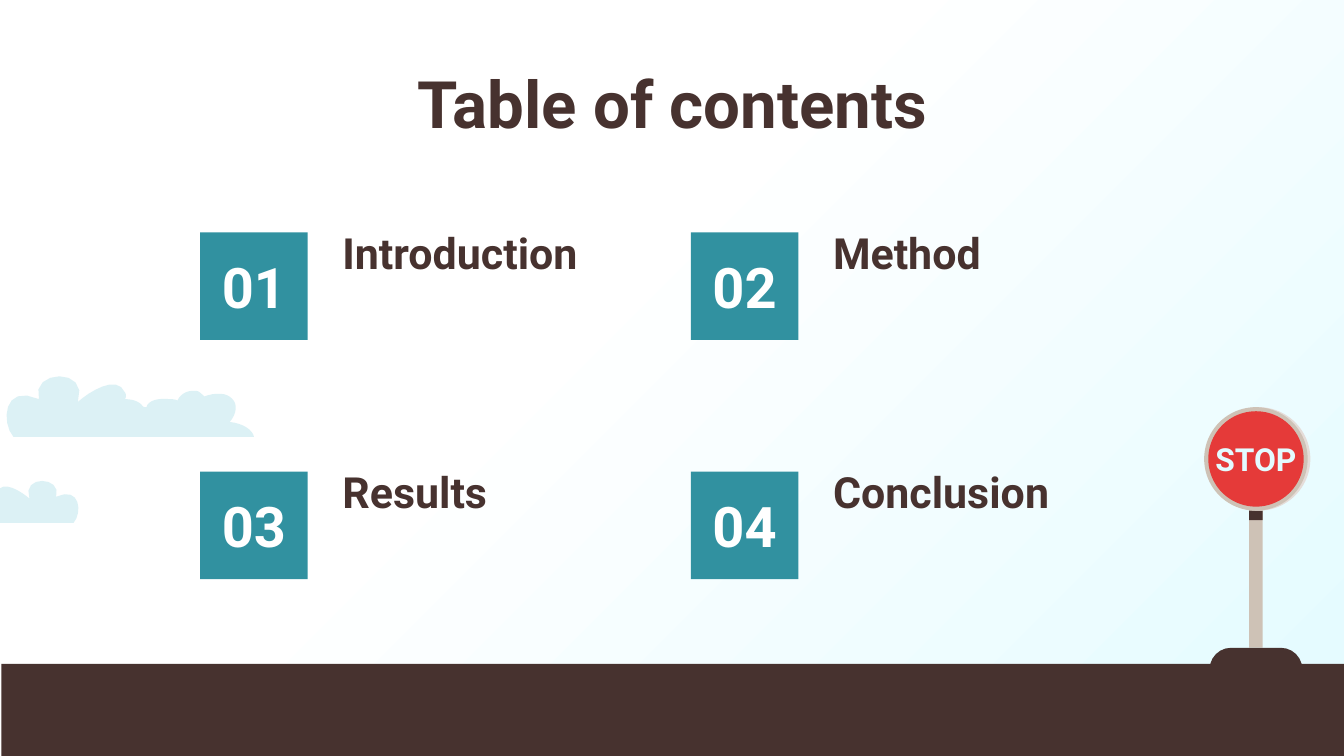
from lxml import etree
from pptx import Presentation
from pptx.dml.color import RGBColor
from pptx.enum import shapes, text
from pptx.oxml import ns
from pptx.util import Inches, Pt

BROWN = RGBColor(0x47, 0x32, 0x2F)
TEAL = RGBColor(0x31, 0x91, 0xA0)
SKY = RGBColor(0x5E, 0xBF, 0xD1)
PALE = RGBColor(0xE3, 0xFB, 0xFF)
WHITE = RGBColor(0xFF, 0xFF, 0xFF)
RED = RGBColor(0xE5, 0x3A, 0x39)
STONE = RGBColor(0xCE, 0xC2, 0xB6)
SHADE = RGBColor(0xE5, 0xDD, 0xD9)

FONT = "Roboto"
MARGIN = 0.1
KIND = shapes.MSO_SHAPE
ALIGN = text.PP_ALIGN
ANCHOR = text.MSO_ANCHOR

# Cloud outline in a 1.88 x 0.52 box: each row is two control points and an end.
CLOUD_SIZE = (1.88, 0.52)
CLOUD_START = (1.88, 0.52)
CLOUD_CURVES = [
    ((1.87, 0.47), (1.80, 0.42), (1.70, 0.41)),
    ((1.75, 0.35), (1.76, 0.28), (1.72, 0.24)),
    ((1.68, 0.19), (1.59, 0.19), (1.51, 0.22)),
    ((1.49, 0.20), (1.48, 0.19), (1.46, 0.18)),
    ((1.40, 0.17), (1.34, 0.19), (1.31, 0.25)),
    ((1.29, 0.24), (1.27, 0.24), (1.25, 0.24)),
    ((1.17, 0.23), (1.09, 0.25), (1.08, 0.30)),
    ((1.07, 0.30), (1.06, 0.30), (1.05, 0.29)),
    ((1.03, 0.26), (0.98, 0.24), (0.92, 0.24)),
    ((0.93, 0.23), (0.93, 0.20), (0.92, 0.19)),
    ((0.86, 0.05), (0.65, 0.19), (0.57, 0.26)),
    ((0.66, 0.00), (0.21, 0.02), (0.28, 0.24)),
    ((0.01, 0.12), (0.00, 0.42), (0.09, 0.52)),
]


def paint(shape, color):
    shape.shadow.inherit = False
    shape.fill.solid()
    shape.fill.fore_color.rgb = color
    shape.line.fill.background()


def add_block(slide, kind, box, color):
    shape = slide.shapes.add_shape(kind, *map(Inches, box))
    paint(shape, color)
    return shape


def write(shape, words, size, color, align=ALIGN.CENTER, anchor=ANCHOR.MIDDLE,
          margin=MARGIN):
    frame = shape.text_frame
    frame.text = words
    look = {"word_wrap": True, "auto_size": text.MSO_AUTO_SIZE.NONE,
            "vertical_anchor": anchor}
    look.update({f"margin_{side}": Inches(margin)
                 for side in ("left", "top", "right", "bottom")})
    for name, value in look.items():
        setattr(frame, name, value)
    line = frame.paragraphs[0]
    line.alignment = align
    for name, value in {"name": FONT, "size": Pt(size), "bold": True}.items():
        setattr(line.runs[0].font, name, value)
    line.runs[0].font.color.rgb = color


def add_sky(slide):
    fill = slide.background.fill
    fill.gradient()
    fill.gradient_angle = 315
    for stop, place, color in zip(fill.gradient_stops, (0.41, 1), (WHITE, PALE)):
        stop.position = place
        stop.color.rgb = color


def curve(start, one, two, end, steps=8):
    """Points along a cubic Bezier curve, without its start."""
    for step in range(1, steps + 1):
        t = step / steps
        s = 1 - t
        yield tuple(s**3 * a + 3 * s * s * t * b + 3 * s * t * t * c + t**3 * d
                    for a, b, c, d in zip(start, one, two, end))


def add_cloud(slide, box, flip=False):
    left, top, width, height = box
    points = [CLOUD_START]
    for row in CLOUD_CURVES:
        points += curve(points[-1], *row)

    def place(point):
        x, y = point[0] / CLOUD_SIZE[0], point[1] / CLOUD_SIZE[1]
        x = 1 - x if flip else x
        return Inches(left + x * width), Inches(top + y * height)

    spots = [place(point) for point in points]
    path = slide.shapes.build_freeform(*spots[0])
    path.add_line_segments(spots[1:], close=True)
    cloud = path.convert_to_shape()
    paint(cloud, SKY)
    tint = cloud.fill._xPr.find(".//" + ns.qn("a:srgbClr"))
    etree.SubElement(tint, ns.qn("a:alpha"), val="21000")


def add_sign(slide, box):
    left, top, width, height = box
    mid = left + width / 2
    post, disc, rim = 0.1, 0.77, 0.03
    base = top + height - 0.16
    add_block(slide, KIND.RECTANGLE,
              (mid - post / 2, top + 0.57, post, base - top - 0.57), STONE)
    add_block(slide, KIND.RECTANGLE, (mid - post / 2, top + disc, post, 0.07), BROWN)
    mound = add_block(slide, KIND.ROUNDED_RECTANGLE, (left, base, width, 0.32), BROWN)
    mound.adjustments[0] = 0.5
    edge = mid - disc / 2
    add_block(slide, KIND.OVAL, (edge + 0.02, top, disc, disc), SHADE)
    add_block(slide, KIND.OVAL, (edge, top, disc, disc), STONE)
    inner = disc - 2 * rim
    add_block(slide, KIND.OVAL, (edge + rim, top + rim, inner, inner), RED)
    label = slide.shapes.add_textbox(
        *map(Inches, (edge, top + 0.2, disc, disc - 0.4)))
    write(label, "STOP", 17, PALE, margin=0)


def add_title(slide, box, words):
    title = slide.shapes.title
    title.left, title.top, title.width, title.height = map(Inches, box)
    write(title, words, 35, BROWN, anchor=ANCHOR.TOP)


def add_entry(slide, box, number, words):
    left, top, width, height = box
    tile = add_block(slide, KIND.RECTANGLE, (left, top, height, height), TEAL)
    write(tile, f"{number:02}", 30, WHITE)
    label_left = height + 0.16
    label = slide.shapes.add_textbox(
        *map(Inches, (left + label_left, top - 0.05, width - label_left, 0.49)))
    write(label, words, 23, BROWN, ALIGN.LEFT, ANCHOR.BOTTOM)


def add_contents(slide, box, entries):
    """Numbered entries in two columns, filled row by row."""
    left, top, width, height = box
    wide, high = 3.36, 0.8
    for index, words in enumerate(entries):
        row, col = divmod(index, 2)
        spot = (left + col * (width - wide), top + row * (height - high), wide, high)
        add_entry(slide, spot, index + 1, words)


def main():
    deck = Presentation()
    deck.slide_width = Inches(10)
    deck.slide_height = deck.slide_width * 9 // 16
    slide = deck.slides.add_slide(deck.slide_layouts[5])
    add_sky(slide)
    add_cloud(slide, (-0.68, 3.53, 1.29, 0.36), flip=True)
    add_block(slide, KIND.RECTANGLE, (0.01, 4.94, 10, 0.69), BROWN)
    add_sign(slide, (9, 3.03, 0.69, 1.95))
    add_title(slide, (0.79, 0.37, 8.43, 0.75), "Table of contents")
    add_contents(slide, (1.49, 1.73, 7.01, 2.58),
                 ["Introduction", "Method", "Results", "Conclusion"])
    add_cloud(slide, (0.01, 2.73, 1.88, 0.52))
    deck.save("out.pptx")


if __name__ == "__main__":
    main()
